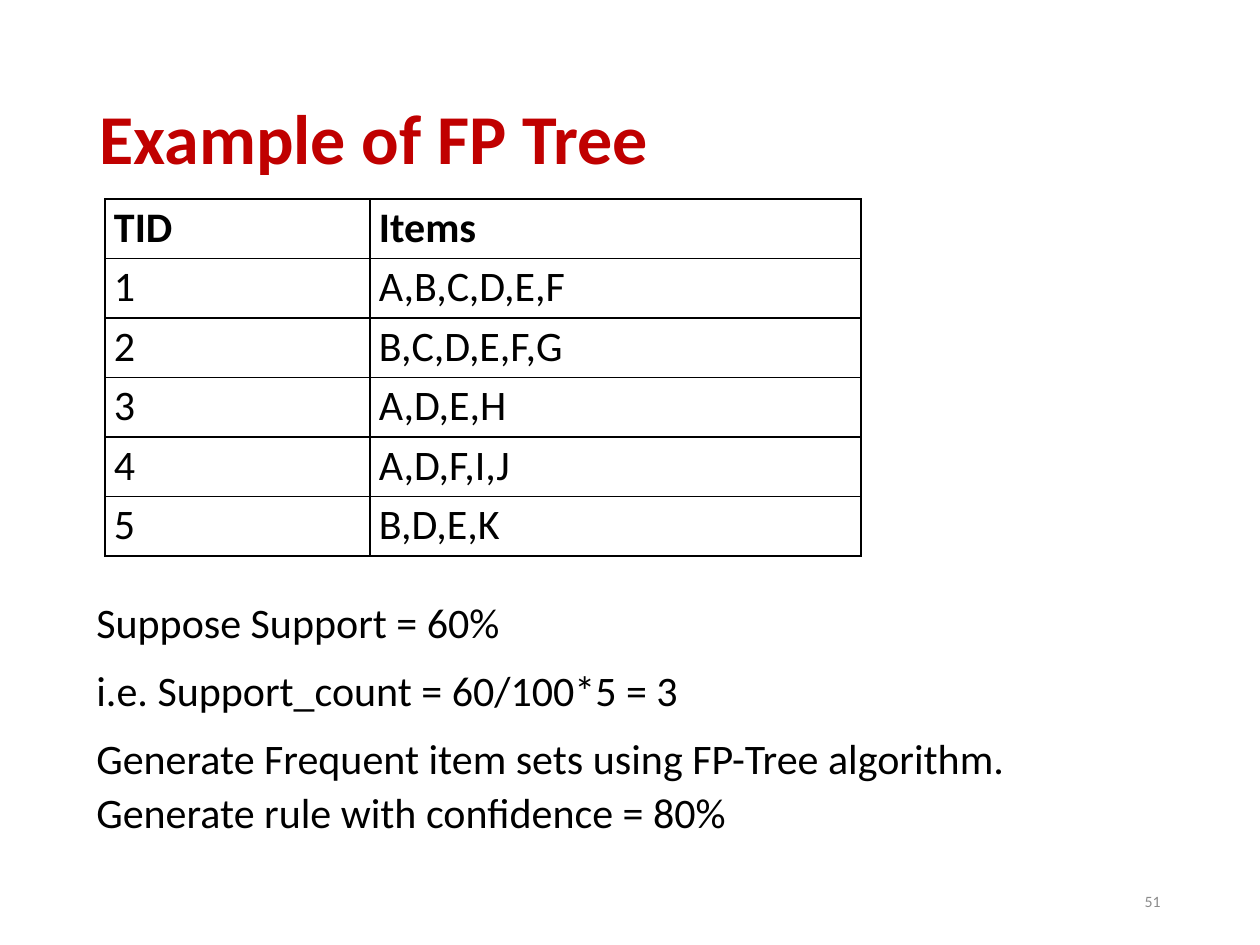
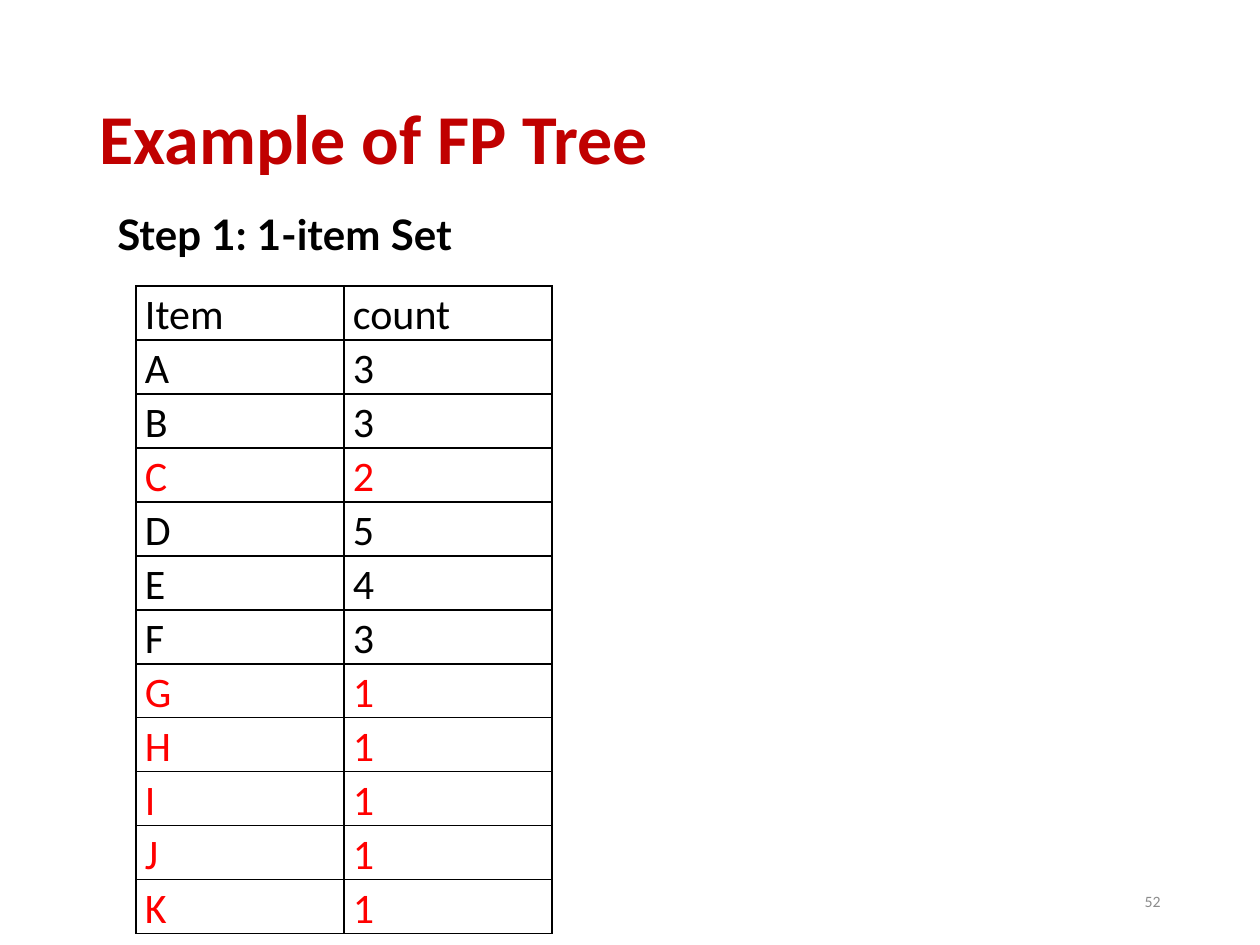
from lxml.etree import SubElement
from pptx import Presentation
from pptx.dml.color import RGBColor
from pptx.enum.text import MSO_ANCHOR, MSO_AUTO_SIZE, PP_ALIGN
from pptx.oxml.ns import qn
from pptx.util import Emu, Pt

PX_PER_INCH = 126
TITLE_RED = RGBColor(0xC0, 0x00, 0x00)
INFREQUENT_RED = RGBColor(0xFF, 0x00, 0x00)
BLACK = RGBColor(0x00, 0x00, 0x00)
NUMBER_GREY = RGBColor(0x8C, 0x8C, 0x8C)
BODY_FONT = "Calibri"
STEP_FONT = "Lato"
BODY_SPACING = 1.07
MIN_SUPPORT = 3

TITLE_BOX = (87, 50, 1086, 183)
NUMBER_BOX = (890, 876, 283, 50)

TRANSACTIONS = [
    ("TID", "Items"),
    ("1", "A,B,C,D,E,F"),
    ("2", "B,C,D,E,F,G"),
    ("3", "A,D,E,H"),
    ("4", "A,D,F,I,J"),
    ("5", "B,D,E,K"),
]
ITEM_COUNTS = list(zip("ABCDEFGHIJK", (3, 3, 2, 5, 4, 3, 1, 1, 1, 1, 1)))
TASK_LINES = [
    "Suppose Support = 60%",
    "i.e. Support_count = 60/100*5 = 3",
    "Generate Frequent item sets using FP-Tree algorithm. "
    "Generate rule with confidence = 80%",
]


def px(length):
    """Turn pixels into EMU."""
    return Emu(round(length * 914400 / PX_PER_INCH))


def format_runs(paragraph, size, color, bold=False, font_name=BODY_FONT):
    """Give every run of a paragraph the same font."""
    for run in paragraph.runs:
        run.font.name = font_name
        run.font.size = Pt(size)
        run.font.bold = bold
        run.font.color.rgb = color


def add_text(slide, box, text, wrap=True):
    """Add a text box and return its text frame."""
    text_frame = slide.shapes.add_textbox(*map(px, box)).text_frame
    text_frame.word_wrap = wrap
    text_frame.text = text
    return text_frame


def add_base_slide(presentation, title, number):
    """Add a slide with the shared title and slide number."""
    slide = presentation.slides.add_slide(presentation.slide_layouts[5])
    title_shape = slide.shapes.title
    title_shape.left, title_shape.top, title_shape.width, title_shape.height = map(px, TITLE_BOX)
    title_frame = title_shape.text_frame
    title_frame.text = title
    title_frame.auto_size = MSO_AUTO_SIZE.NONE
    title_frame.vertical_anchor = MSO_ANCHOR.MIDDLE
    paragraph = title_frame.paragraphs[0]
    paragraph.alignment = PP_ALIGN.LEFT
    paragraph.line_spacing = 0.9
    format_runs(paragraph, 40, TITLE_RED, bold=True)

    number_frame = add_text(slide, NUMBER_BOX, str(number))
    number_frame.vertical_anchor = MSO_ANCHOR.MIDDLE
    number_frame.paragraphs[0].alignment = PP_ALIGN.RIGHT
    format_runs(number_frame.paragraphs[0], 9, NUMBER_GREY)
    return slide


def outline_cell(cell):
    """Draw a thin black border on all sides of a cell."""
    properties = cell._tc.get_or_add_tcPr()
    for position, side in enumerate(("a:lnL", "a:lnR", "a:lnT", "a:lnB")):
        line = SubElement(properties, qn(side), w=str(Pt(1)))
        fill = SubElement(line, qn("a:solidFill"))
        SubElement(fill, qn("a:srgbClr"), val=str(BLACK))
        properties.insert(position, line)


def add_grid(slide, box, column_widths, rows, bold_header=False, row_color=lambda row: BLACK):
    """Add a plain bordered table whose rows share the height of the box."""
    table = slide.shapes.add_table(len(rows), len(column_widths), *map(px, box)).table
    table.first_row = False
    table.horz_banding = False
    for column, width in zip(table.columns, column_widths):
        column.width = px(width)
    for row_index, row in enumerate(rows):
        for column_index, value in enumerate(row):
            cell = table.cell(row_index, column_index)
            cell.margin_left = cell.margin_right = px(9)
            cell.margin_top = cell.margin_bottom = 0
            cell.fill.background()
            outline_cell(cell)
            cell.text_frame.text = str(value)
            paragraph = cell.text_frame.paragraphs[0]
            paragraph.line_spacing = BODY_SPACING
            format_runs(paragraph, 24, row_color(row), bold_header and row_index == 0)


def add_task(slide, box):
    """Add the support and confidence settings of the exercise."""
    text_frame = add_text(slide, box, "\n".join(TASK_LINES))
    for paragraph in text_frame.paragraphs:
        paragraph.line_spacing = BODY_SPACING
        paragraph.space_after = Pt(8)
        format_runs(paragraph, 24, BLACK)


def count_color(row):
    """Mark items below the minimum support in red."""
    count = row[1]
    return INFREQUENT_RED if isinstance(count, int) and count < MIN_SUPPORT else BLACK


def build_transactions_slide(presentation):
    """Build the slide with the transactions and the task."""
    slide = add_base_slide(presentation, "Example of FP Tree", 51)
    add_grid(slide, (105, 199, 756, 357), (265, 491), TRANSACTIONS, bold_header=True)
    add_task(slide, (84, 587, 1070, 258))


def build_item_count_slide(presentation):
    """Build the slide that counts the single items."""
    slide = add_base_slide(presentation, "Example of FP Tree", 52)
    add_grid(slide, (136, 286, 416, 648), (208, 208),
             [("Item", "count")] + ITEM_COUNTS, row_color=count_color)
    step_frame = add_text(slide, (105, 202, 413, 63), "Step 1: 1-item Set", wrap=False)
    format_runs(step_frame.paragraphs[0], 24, BLACK, bold=True, font_name=STEP_FONT)


def main():
    """Build and save the presentation."""
    presentation = Presentation()
    presentation.slide_width = px(1260)
    presentation.slide_height = px(945)
    build_transactions_slide(presentation)
    build_item_count_slide(presentation)
    presentation.save("out.pptx")


if __name__ == "__main__":
    main()
